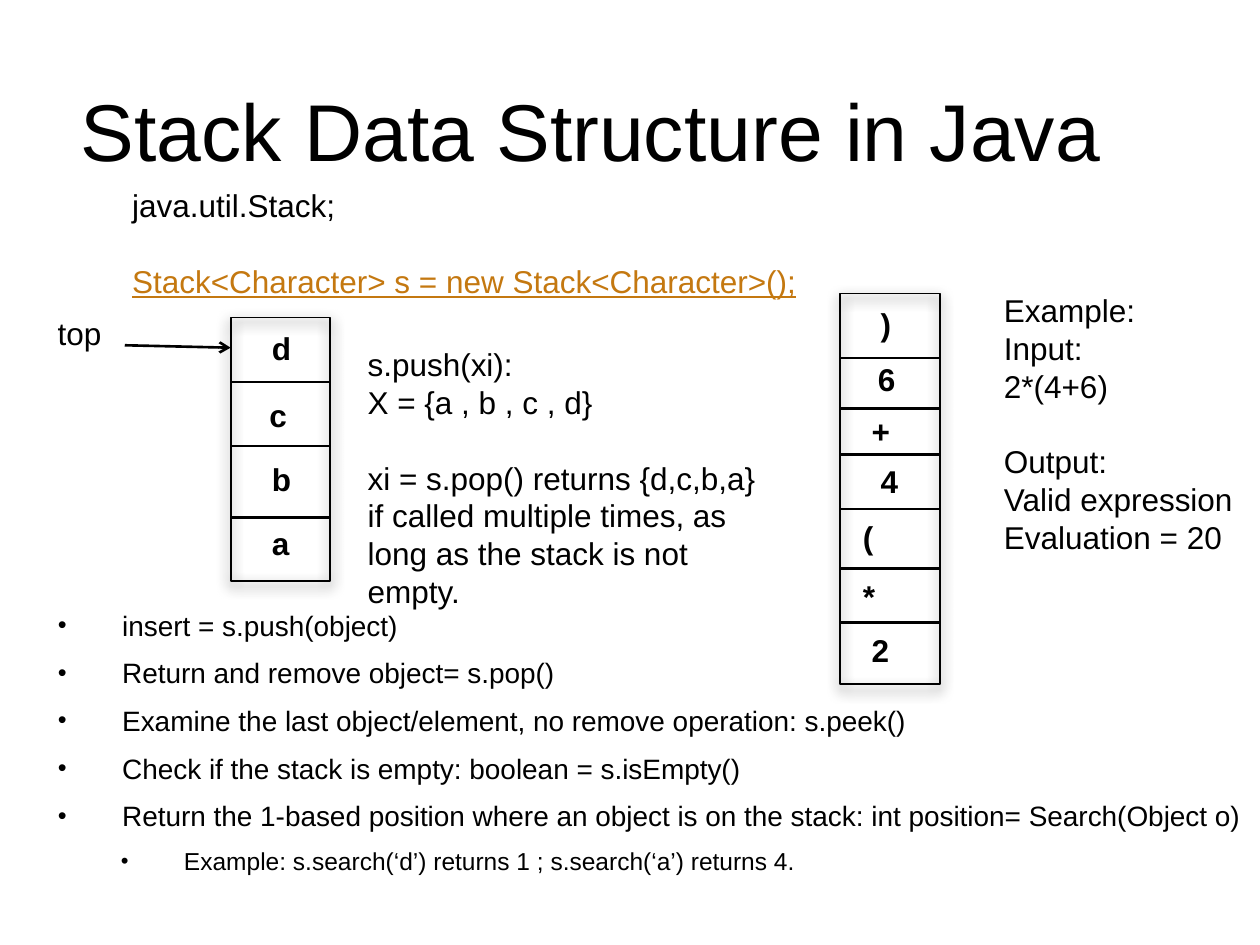
from dataclasses import dataclass

from lxml.etree import SubElement
from pptx import Presentation
from pptx.dml.color import RGBColor
from pptx.enum.shapes import MSO_CONNECTOR, MSO_SHAPE
from pptx.enum.text import MSO_ANCHOR, MSO_AUTO_SIZE, PP_ALIGN
from pptx.oxml import parse_xml
from pptx.oxml.ns import nsdecls, qn
from pptx.shapes.connector import Connector
from pptx.slide import Slide
from pptx.text.text import Font
from pptx.util import Pt

BLACK = RGBColor(0x00, 0x00, 0x00)
ORANGE = RGBColor(0xC4, 0x78, 0x10)
FONT_NAME = "Arial"
LABEL_SIZE = 18
BLANK_LINE = 21.6
NARROW, WIDE = 26.6, 40.3

SHADOW_XML = (
    f'<a:effectLst {nsdecls("a")}>'
    '<a:outerShdw blurRad="101600" dist="38100" dir="5400000" rotWithShape="0">'
    '<a:srgbClr val="000000"><a:alpha val="75000"/></a:srgbClr>'
    "</a:outerShdw></a:effectLst>"
)


@dataclass(frozen=True)
class Element:
    symbol: str
    left: float
    top: float
    width: float = NARROW


@dataclass(frozen=True)
class Stack:
    left: float
    top: float
    height: float
    dividers: tuple[float, ...]
    elements: tuple[Element, ...]
    width: float = 56.9


@dataclass(frozen=True)
class Note:
    """Lines of text; those numbered in gaps_before follow a blank line's space."""
    lines: tuple[str, ...]
    left: float
    top: float
    width: float
    height: float
    gaps_before: tuple[int, ...] = ()
    wrap: bool = True


@dataclass(frozen=True)
class Bullet:
    text: str
    level: int = 0


@dataclass(frozen=True)
class BulletStyle:
    size: float
    margin: float
    hanging: float


LETTER_STACK = Stack(
    131.8, 181.4, 150.5,
    (218.2, 254.9, 295.9),
    (
        Element("d", 148.3, 184.3),
        Element("c", 146.9, 222.5),
        Element("b", 148.3, 259.2),
        Element("a", 148.3, 295.9),
    ),
)
EXPRESSION_STACK = Stack(
    480.2, 167.8, 223.2,
    (204.5, 233.3, 259.9, 290.9, 324.7, 355.7),
    (
        Element(")", 496.1, 170.6),
        Element("6", 494.6, 202.3),
        Element("+", 491, 231.8, WIDE),
        Element("4", 496.1, 260.6),
        Element("(", 486, 292.3, WIDE),
        Element("*", 486, 326.2, WIDE),
        Element("2", 491, 357.1, WIDE),
    ),
)
TOP_POINTER = Note(("top",), 25.9, 175.7, 44.6, 28.8, wrap=False)
PUSH_AND_POP = Note(
    (
        "s.push(xi):",
        "X = {a , b , c , d}",
        "xi = s.pop() returns {d,c,b,a} if called multiple times, "
        "as long as the stack is not empty.",
    ),
    203, 193.7, 237.6, 159.8, gaps_before=(2,),
)
EXAMPLE = Note(
    ("Example:", "Input:", "2*(4+6)", "Output:", "Valid expression", "Evaluation = 20"),
    566.6, 162.7, 146.2, 159.8, gaps_before=(3,), wrap=False,
)
DECLARATION = Note(
    ("java.util.Stack;", "Stack<Character> s = new Stack<Character>();"),
    68.4, 103, 437.8, 72.7, gaps_before=(1,),
)
OPERATIONS = (
    Bullet("insert = s.push(object)"),
    Bullet("Return and remove object= s.pop()"),
    Bullet("Examine the last object/element, no remove operation: s.peek()"),
    Bullet("Check if the stack is empty: boolean = s.isEmpty()"),
    Bullet("Return the 1-based position where an object is on the stack: "
           "int position= Search(Object o)"),
    Bullet("Example: s.search(‘d’) returns 1 ; s.search(‘a’) returns 4.", 1),
)
BULLET_STYLES = (BulletStyle(16, 36.7, 36.7), BulletStyle(14, 72, 36))


def style_font(font: Font, size: float, color: RGBColor = BLACK, bold: bool = False) -> None:
    font.name = FONT_NAME
    font.size = Pt(size)
    font.bold = bold
    font.color.rgb = color


def add_note(slide: Slide, note: Note, color: RGBColor = BLACK, bold: bool = False):
    box = slide.shapes.add_textbox(
        Pt(note.left), Pt(note.top), Pt(note.width), Pt(note.height))
    frame = box.text_frame
    frame.word_wrap = note.wrap
    frame.text = "\n".join(note.lines)
    for index, paragraph in enumerate(frame.paragraphs):
        if index in note.gaps_before:
            paragraph.space_before = Pt(BLANK_LINE)
        for run in paragraph.runs:
            style_font(run.font, LABEL_SIZE, color, bold)
    return frame


def add_line(slide: Slide, x1: float, y1: float, x2: float, y2: float) -> Connector:
    line = slide.shapes.add_connector(
        MSO_CONNECTOR.STRAIGHT, Pt(x1), Pt(y1), Pt(x2), Pt(y2))
    line.line.color.rgb = BLACK
    line.line.width = Pt(1.5)
    SubElement(line._element.spPr, qn("a:effectLst"))
    return line


def add_stack(slide: Slide, stack: Stack) -> None:
    frame = slide.shapes.add_shape(
        MSO_SHAPE.RECTANGLE,
        Pt(stack.left), Pt(stack.top), Pt(stack.width), Pt(stack.height))
    frame.fill.background()
    frame.line.color.rgb = BLACK
    frame.line.width = Pt(1)
    frame._element.spPr.append(parse_xml(SHADOW_XML))
    for y in stack.dividers:
        add_line(slide, stack.left, y, stack.left + stack.width, y)
    for element in stack.elements:
        add_note(slide, Note((element.symbol,), element.left, element.top,
                             element.width, 28.8), bold=True)


def fill_title(slide: Slide) -> None:
    title = slide.shapes.title
    title.left, title.top, title.width, title.height = Pt(38.9), Pt(39.6), Pt(609), Pt(68.4)
    frame = title.text_frame
    frame.text = "Stack Data Structure in Java"
    frame.auto_size = MSO_AUTO_SIZE.NONE
    frame.vertical_anchor = MSO_ANCHOR.MIDDLE
    frame.paragraphs[0].alignment = PP_ALIGN.LEFT
    style_font(frame.paragraphs[0].runs[0].font, 46)


def fill_operations(slide: Slide) -> None:
    body = slide.placeholders[1]
    body.left, body.top, body.width, body.height = Pt(25.9), Pt(344), Pt(694), Pt(170)
    frame = body.text_frame
    frame.text = "\n".join(bullet.text for bullet in OPERATIONS)
    frame.auto_size = MSO_AUTO_SIZE.NONE
    for index, (paragraph, bullet) in enumerate(zip(frame.paragraphs, OPERATIONS)):
        style = BULLET_STYLES[bullet.level]
        paragraph.level = bullet.level
        paragraph.space_before = Pt(8 if index else 0)
        properties = paragraph._p.get_or_add_pPr()
        properties.set("marL", str(Pt(style.margin)))
        properties.set("indent", str(-Pt(style.hanging)))
        SubElement(properties, qn("a:buSzPct"), val="90000")
        SubElement(properties, qn("a:buFont"), typeface=FONT_NAME)
        SubElement(properties, qn("a:buChar"), char="•")
        style_font(paragraph.runs[0].font, style.size)


def main() -> None:
    presentation = Presentation()
    presentation.slide_width, presentation.slide_height = Pt(720), Pt(540)
    slide = presentation.slides.add_slide(presentation.slide_layouts[1])
    fill_title(slide)
    fill_operations(slide)
    add_stack(slide, LETTER_STACK)
    pointer = add_line(slide, 71.3, 197.3, LETTER_STACK.left, 198.7)
    SubElement(pointer.line._get_or_add_ln(), qn("a:tailEnd"), type="arrow")
    add_stack(slide, EXPRESSION_STACK)
    for note in (TOP_POINTER, PUSH_AND_POP, EXAMPLE):
        add_note(slide, note)
    declaration = add_note(slide, DECLARATION)
    constructor_font = declaration.paragraphs[1].runs[0].font
    constructor_font.color.rgb = ORANGE
    constructor_font.underline = True
    presentation.save("out.pptx")


if __name__ == "__main__":
    main()
